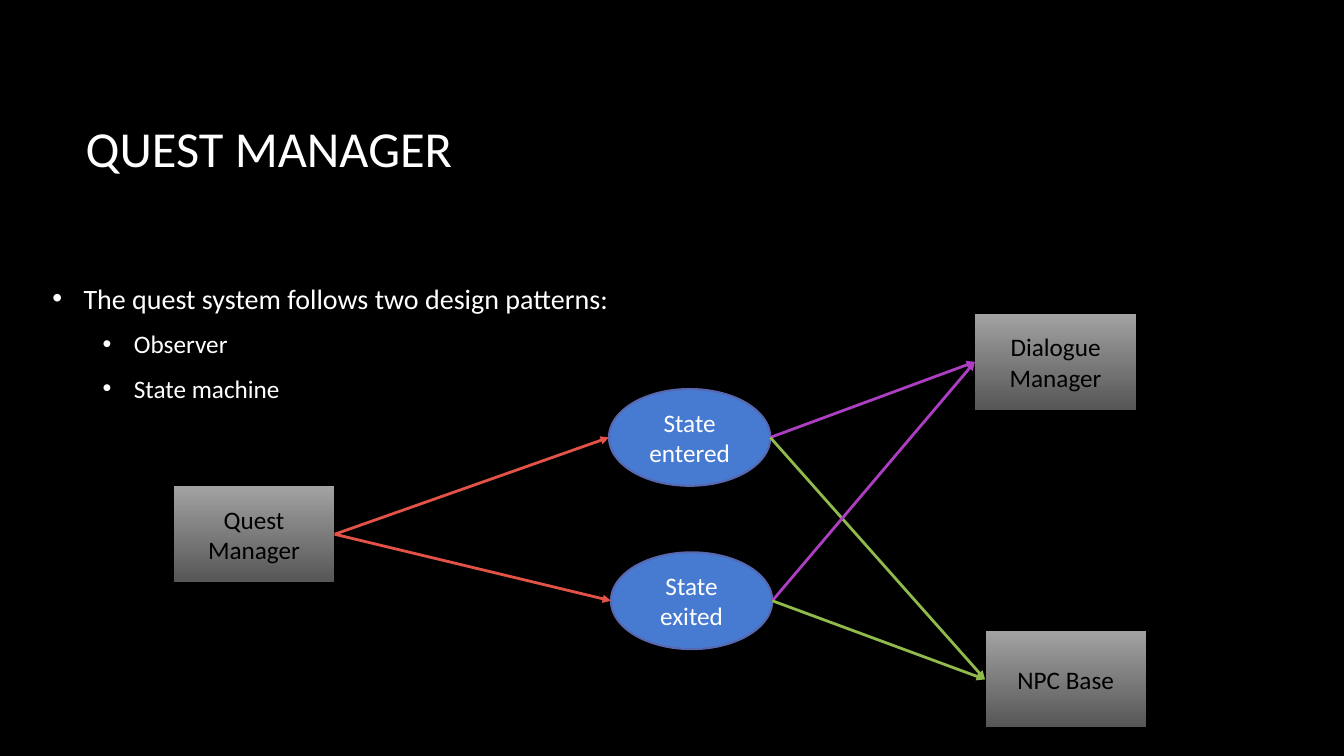
"""Build the quest manager slide with its observer and state machine diagram."""
from lxml import etree
from pptx import Presentation
from pptx.dml.color import RGBColor
from pptx.enum.shapes import MSO_CONNECTOR as Connector, MSO_SHAPE as Shape
from pptx.enum.text import MSO_ANCHOR as Anchor, PP_ALIGN as Align
from pptx.oxml.ns import qn
from pptx.util import Inches, Pt

COLORS = {
    "black": "000000",
    "white": "FFFFFF",
    "box_top": "A2A2A2",
    "box_bottom": "565656",
    "state": "477BD1",
    "state_line": "5868B0",
    "red": "E25247",
    "purple": "AC3EC1",
    "green": "90BA4C",
}
NODE_WIDTH, NODE_HEIGHT = 1.6, 0.96


def color(name):
    return RGBColor.from_string(COLORS[name])


def format_text(paragraph, size, color_name, alignment):
    paragraph.alignment = alignment
    for name, value in {"name": "Calibri", "size": Pt(size)}.items():
        setattr(paragraph.font, name, value)
    paragraph.font.color.rgb = color(color_name)


presentation = Presentation()
presentation.slide_width = Inches(13.33)
presentation.slide_height = Inches(7.5)
slide = presentation.slides.add_slide(presentation.slide_layouts[5])
slide.background.fill.solid()
slide.background.fill.fore_color.rgb = color("black")

title = slide.shapes.title
title_place = {"left": 0.75, "top": 0.67, "width": 11.08, "height": 1.59}
for name, value in title_place.items():
    setattr(title, name, Inches(value))
title.text_frame.text = "QUEST MANAGER"
title.text_frame.vertical_anchor = Anchor.MIDDLE
format_text(title.text_frame.paragraphs[0], 36, "white", Align.LEFT)

body = slide.shapes.add_textbox(Inches(0.42), Inches(1.4), Inches(11.08), Inches(3.99))
frame = body.text_frame
frame.word_wrap = True
frame.vertical_anchor = Anchor.MIDDLE
bullets = [
    ("The quest system follows two design patterns:", 0, 20),
    ("Observer", 1, 18),
    ("State machine", 1, 18),
]
frame.text = "\n".join(text for text, level, size in bullets)
for paragraph, (text, level, size) in zip(frame.paragraphs, bullets):
    paragraph.level = level
    properties = paragraph._p.get_or_add_pPr()
    properties.set("marL", str(Inches(0.31 + 0.5 * level)))
    properties.set("indent", str(Inches(-0.31)))
    etree.SubElement(properties, qn("a:buFont"), typeface="Arial")
    etree.SubElement(properties, qn("a:buChar"), char="•")
    format_text(paragraph, size, "white", Align.LEFT)
for paragraph in frame.paragraphs[:-1]:
    paragraph.space_after = Pt(10)

nodes = {
    "Quest Manager": (Shape.RECTANGLE, 1.72, 4.82),
    "Dialogue Manager": (Shape.RECTANGLE, 9.67, 3.11),
    "NPC Base": (Shape.RECTANGLE, 9.77, 6.26),
    "State entered": (Shape.OVAL, 6.04, 3.86),
    "State exited": (Shape.OVAL, 6.06, 5.48),
}
for text, (kind, left, top) in nodes.items():
    node = slide.shapes.add_shape(
        kind, Inches(left), Inches(top), Inches(NODE_WIDTH), Inches(NODE_HEIGHT)
    )
    node.shadow.inherit = False
    if kind == Shape.OVAL:
        node.fill.solid()
        node.fill.fore_color.rgb = color("state")
        line_color, line_width, text_color = "state_line", 1.5, "white"
    else:
        node.fill.gradient()
        node.fill.gradient_angle = 270
        for stop, name in zip(node.fill.gradient_stops, ("box_top", "box_bottom")):
            stop.color.rgb = color(name)
        line_color, line_width, text_color = "black", 0.75, "black"
    node.line.color.rgb = color(line_color)
    node.line.width = Pt(line_width)
    node.text_frame.word_wrap = True
    node.text_frame.vertical_anchor = Anchor.MIDDLE
    node.text_frame.text = text
    format_text(node.text_frame.paragraphs[0], 18, text_color, Align.CENTER)

arrows = [
    ("Quest Manager", "State entered", "red"),
    ("Quest Manager", "State exited", "red"),
    ("State entered", "Dialogue Manager", "purple"),
    ("State entered", "NPC Base", "green"),
    ("State exited", "Dialogue Manager", "purple"),
    ("State exited", "NPC Base", "green"),
]
for source, target, color_name in arrows:
    source_left, source_top = nodes[source][1:]
    target_left, target_top = nodes[target][1:]
    arrow = slide.shapes.add_connector(
        Connector.STRAIGHT,
        Inches(source_left + NODE_WIDTH),
        Inches(source_top + NODE_HEIGHT / 2),
        Inches(target_left),
        Inches(target_top + NODE_HEIGHT / 2),
    )
    arrow.line.color.rgb = color(color_name)
    arrow.line.width = Pt(2)
    etree.SubElement(arrow.line._get_or_add_ln(), qn("a:tailEnd"), type="triangle")
    etree.SubElement(arrow._element.spPr, qn("a:effectLst"))

presentation.save("out.pptx")
